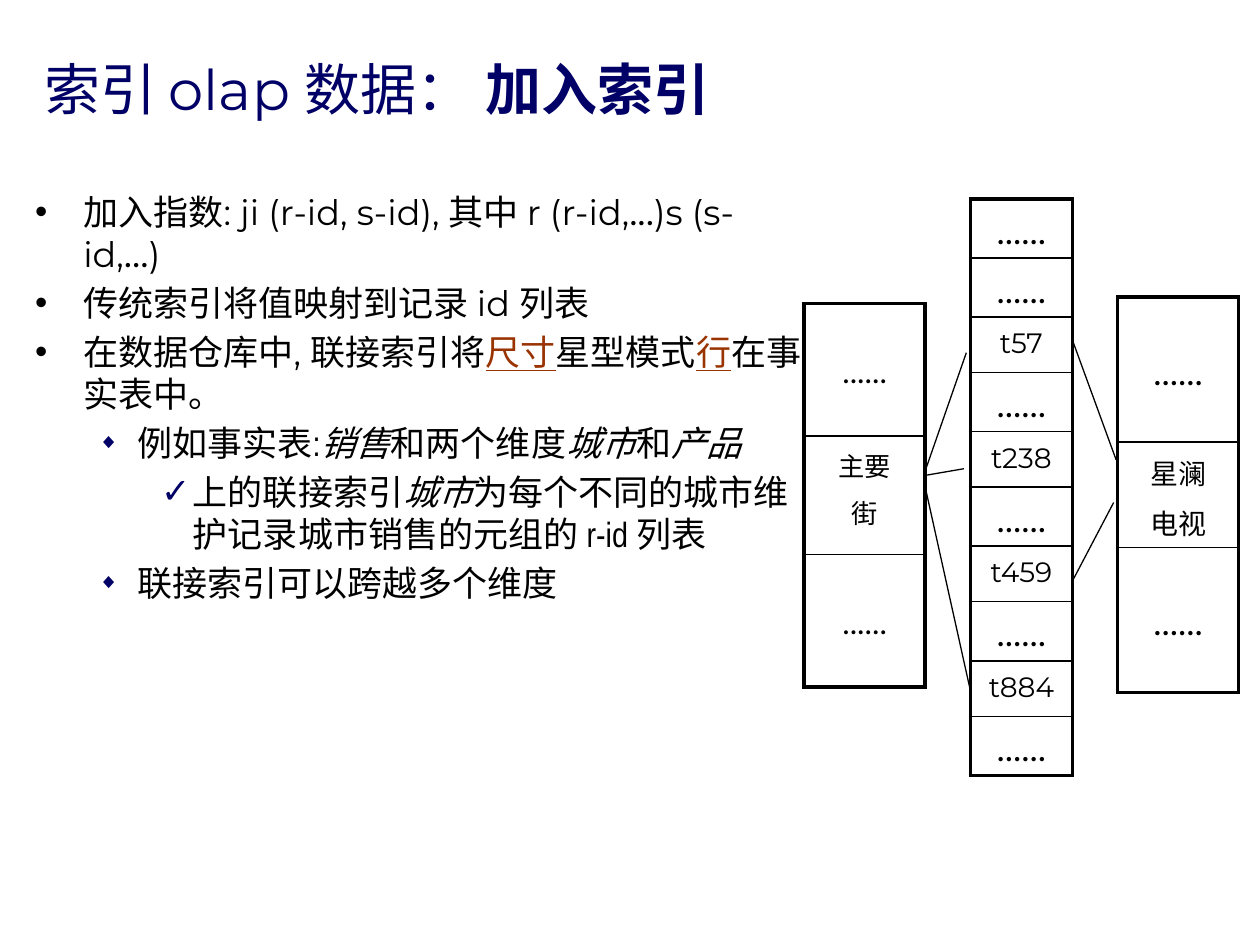
from lxml.etree import SubElement
from pptx import Presentation
from pptx.dml.color import RGBColor
from pptx.enum.shapes import MSO_CONNECTOR
from pptx.enum.text import MSO_ANCHOR, PP_ALIGN
from pptx.oxml.ns import qn
from pptx.util import Cm, Pt

NAVY, BLACK, RUST = "000066", "000000", "993300"
SANS, DOTS_FONT, NARROW = "Montserrat", "Lato", "Arial Narrow"
DOTS = "......"

TITLE = [("索引 olap 数据： ", False), ("加入索引", True)]

# Level -> left margin (cm), hanging indent (cm), bullet, colour, size in percent
LEVELS = [
    (0.97, 0.97, "•", BLACK, 100),
    (2.06, 0.79, "◆", NAVY, 60),
    (3.18, 0.64, "✓", NAVY, 100),
]

# Level, then spans of text, font and style
BODY = [
    (0, [("加入指数: ji (r-id, s-id), 其中 r (r-id,", SANS, ""), ("...", DOTS_FONT, ""),
         (")s (s-id,", SANS, ""), ("...", DOTS_FONT, ""), (")", SANS, "")]),
    (0, [("传统索引将值映射到记录 id 列表", SANS, "")]),
    (0, [("在数据仓库中, 联接索引将", SANS, ""), ("尺寸", SANS, "link"),
         ("星型模式", SANS, ""), ("行", SANS, "link"), ("在事实表中。", SANS, "")]),
    (1, [("例如事实表:", NARROW, ""), ("销售", NARROW, "italic"),
         ("和两个维度", NARROW, ""), ("城市", NARROW, "italic"),
         ("和", NARROW, ""), ("产品", NARROW, "italic")]),
    (2, [("上的联接索引", NARROW, ""), ("城市", NARROW, "italic"),
         ("为每个不同的城市维护记录城市销售的元组的 r-id 列表", NARROW, "")]),
    (1, [("联接索引可以跨越多个维度", NARROW, "")]),
]

# Left, top, width, height of dots row, height of word row, dots size, word size, rows
TABLES = [
    (19.56, 4.01, 2.06, 1.19, 1.12, 20, 16,
     [DOTS, DOTS, "t57", DOTS, "t238", DOTS, "t459", DOTS, "t884", DOTS]),
    (16.21, 6.12, 2.44, 2.67, 2.39, 18, 15, [DOTS, "主要\n街", DOTS]),
    (22.53, 5.99, 2.44, 2.92, 2.13, 20, 16, [DOTS, "星澜\n电视", DOTS]),
]

# Join lines between the dimension tables and the fact table: x1, y1, x2, y2
JOINS = [
    (18.62, 9.58, 19.48, 7.11),
    (18.67, 9.58, 19.43, 9.45),
    (18.62, 9.68, 19.58, 14.0),
    (21.62, 6.86, 22.5, 9.27),
    (21.62, 11.71, 22.45, 10.13),
]


def color(value):
    return RGBColor.from_string(value)


def style(font, name, size, value):
    font.name, font.size = name, Pt(size)
    font.color.rgb = color(value)


def add_box(page, left, top, width, height):
    box = page.shapes.add_textbox(Cm(left), Cm(top), Cm(width), Cm(height))
    box.text_frame.word_wrap = True
    return box.text_frame


def add_bullet(para, level):
    margin, hanging, symbol, value, percent = LEVELS[level]
    para.level = level
    properties = para._p.get_or_add_pPr()
    properties.set("marL", str(Cm(margin)))
    properties.set("indent", str(-Cm(hanging)))
    tint = SubElement(properties, qn("a:buClr"))
    SubElement(tint, qn("a:srgbClr"), val=value)
    SubElement(properties, qn("a:buSzPct"), val=str(percent * 1000))
    SubElement(properties, qn("a:buFont"), typeface="Arial")
    SubElement(properties, qn("a:buChar"), char=symbol)


def add_borders(cell, widths):
    properties = cell._tc.get_or_add_tcPr()
    for side, width in widths.items():
        line = SubElement(properties, qn(f"a:ln{side}"), w=str(Pt(width)))
        fill = SubElement(line, qn("a:solidFill"))
        SubElement(fill, qn("a:srgbClr"), val=BLACK)


def add_column(page, left, top, width, dots_height, word_height, dots_size, word_size, rows):
    heights = [Cm(dots_height if text == DOTS else word_height) for text in rows]
    table = page.shapes.add_table(
        len(rows), 1, Cm(left), Cm(top), Cm(width), sum(heights)).table
    table.first_row = table.horz_banding = False
    last = len(rows) - 1
    for index, text in enumerate(rows):
        table.rows[index].height = heights[index]
        cell = table.cell(index, 0)
        add_borders(cell, {"L": 2.25, "R": 2.25,
                           "T": 2.25 if index == 0 else 1,
                           "B": 2.25 if index == last else 1})
        cell.fill.background()
        # Tall dots rows are centred
        tall = text == DOTS and dots_height > 2
        cell.vertical_anchor = MSO_ANCHOR.MIDDLE if tall else MSO_ANCHOR.TOP
        cell.text_frame.text = text
        name, size = (DOTS_FONT, dots_size) if text == DOTS else (SANS, word_size)
        for order, para in enumerate(cell.text_frame.paragraphs):
            para.alignment = PP_ALIGN.CENTER
            para.line_spacing = 1.1
            if order:
                para.space_before = Pt(size * 0.2)
            style(para.runs[0].font, name, size, BLACK)


def add_join(page, x1, y1, x2, y2):
    line = page.shapes.add_connector(
        MSO_CONNECTOR.STRAIGHT, Cm(x1), Cm(y1), Cm(x2), Cm(y2))
    line.line.color.rgb = color(BLACK)
    line.line.width = Pt(0.75)
    SubElement(line._element.spPr, qn("a:effectLst"))


def main():
    deck = Presentation()
    deck.slide_width, deck.slide_height = Cm(25.4), Cm(19.05)
    page = deck.slides.add_slide(deck.slide_layouts[6])

    # Title
    frame = add_box(page, 0.64, 1.35, 23.93, 1.22)
    frame.vertical_anchor = MSO_ANCHOR.BOTTOM
    for text, bold in TITLE:
        span = frame.paragraphs[0].add_run()
        span.text = text
        span.font.bold = bold
        style(span.font, SANS, 32, NAVY)

    # Bulleted text
    frame = add_box(page, 0.46, 3.71, 16.08, 13.54)
    for index, (level, spans) in enumerate(BODY):
        para = frame.add_paragraph() if index else frame.paragraphs[0]
        add_bullet(para, level)
        if index:
            para.space_before = Pt(4)
        for text, name, look in spans:
            span = para.add_run()
            span.text = text
            style(span.font, name, 20, RUST if look == "link" else BLACK)
            span.font.underline = look == "link"
            span.font.italic = look == "italic"

    # Tables and the lines that join them
    for column in TABLES:
        add_column(page, *column)
    for join in JOINS:
        add_join(page, *join)

    deck.save("out.pptx")


if __name__ == "__main__":
    main()
